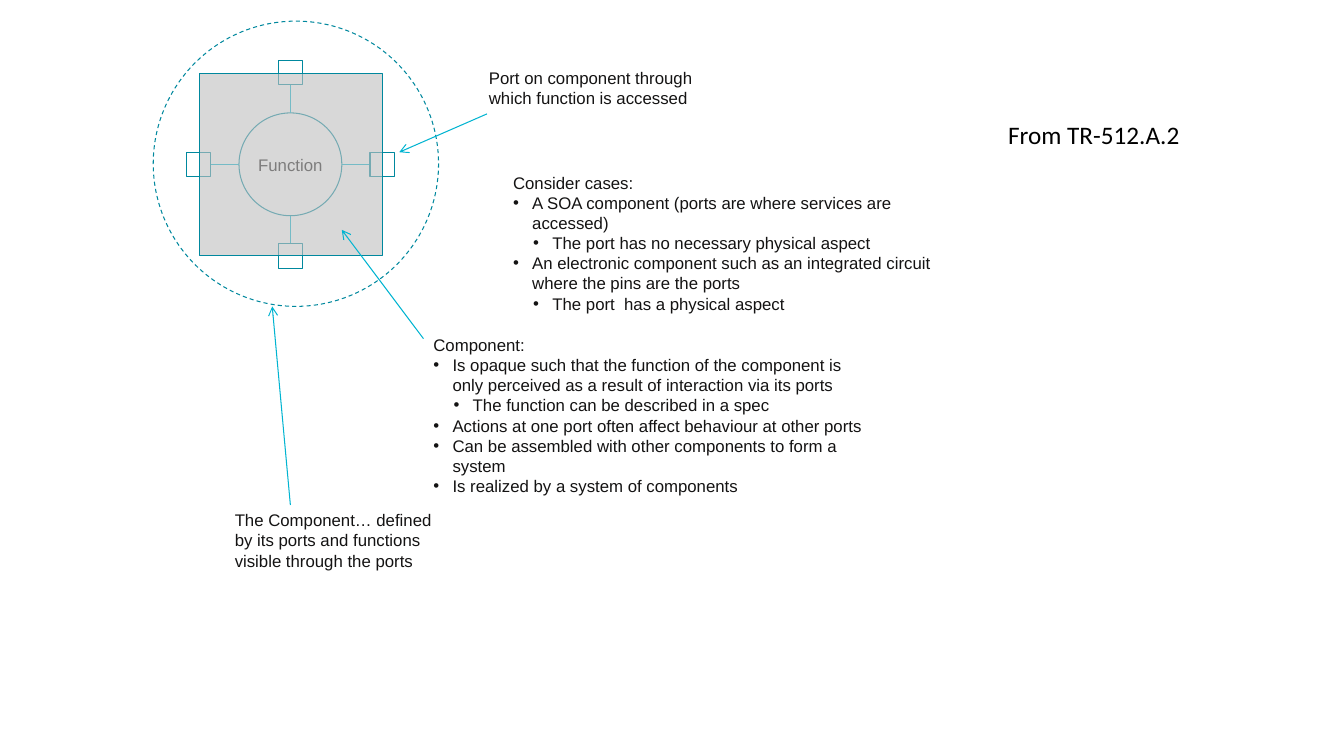
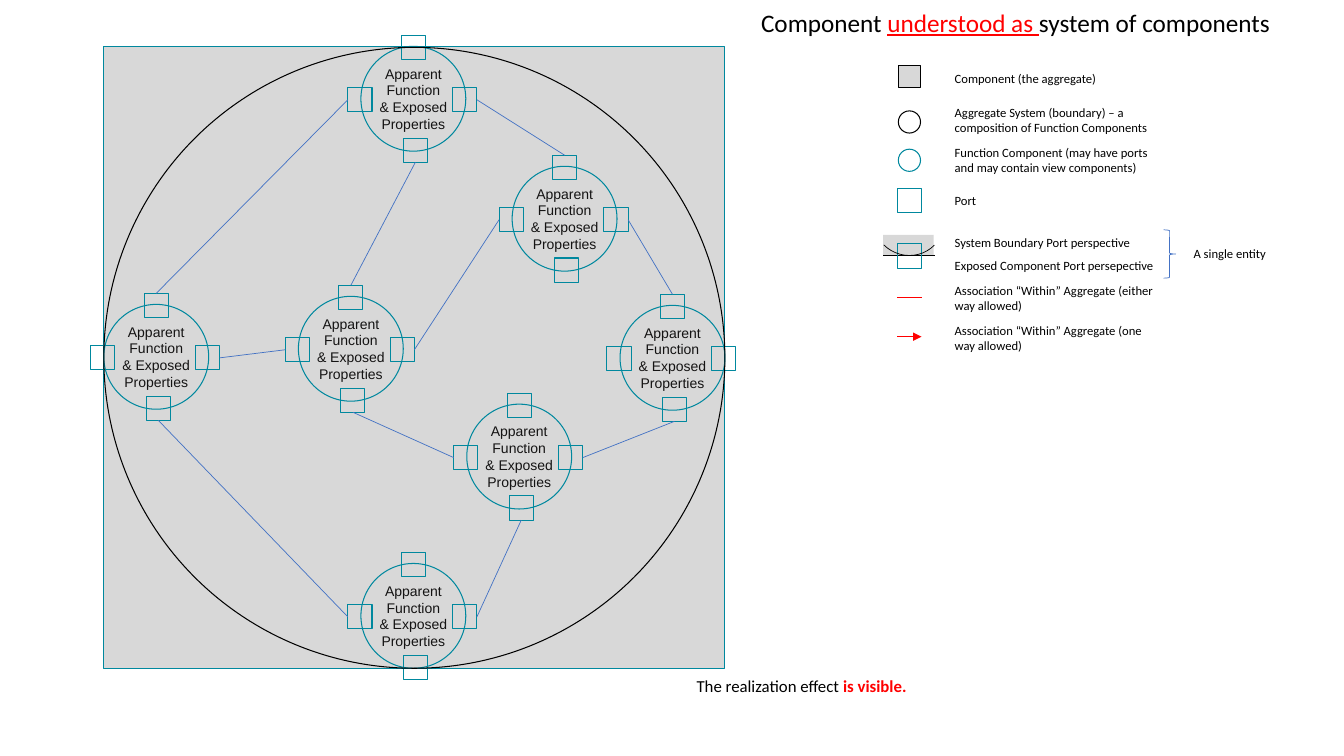
from dataclasses import dataclass
from typing import Any, Optional

from lxml import etree
from pptx import Presentation
from pptx import util as u
from pptx.dml.color import RGBColor
from pptx.enum import dml, shapes, text
from pptx.oxml import ns

COLOURS = {
    "teal": "00889E", "cyan": "00B4D1", "blue": "4472C4", "grey": "C0C0C0",
    "ink": "141313", "black": "000000", "red": "FF0000",
}
PORT = 0.24
OPACITY = 61000
SHAPE = shapes.MSO_SHAPE
TOP, LEFT, BOTTOM, RIGHT = range(4)  # connection sites of a rectangle


@dataclass(frozen=True)
class Span:
    words: str
    colour: Optional[str] = None
    bold: bool = False
    underline: bool = False


@dataclass(frozen=True)
class Para:
    spans: tuple[Span, ...]
    level: int = 0  # 0 plain, 1 and 2 bulleted


@dataclass(frozen=True)
class Style:
    font: str
    size: float
    colour: str
    align: Any = text.PP_ALIGN.LEFT
    anchor: Any = text.MSO_ANCHOR.TOP
    wrap: bool = True


@dataclass(frozen=True)
class Node:
    name: str
    x: float
    y: float


@dataclass(frozen=True)
class Link:
    start: str
    start_site: int
    end: str
    end_site: int


@dataclass(frozen=True)
class Label:
    words: str
    y: float
    height: float


NOTE = Style("Arial", 12, "ink")
CENTRED = Style("Arial", 12, "ink", text.PP_ALIGN.CENTER, text.MSO_ANCHOR.MIDDLE, False)
NODE_TEXT = Style("Arial", 10, "ink", text.PP_ALIGN.CENTER, text.MSO_ANCHOR.MIDDLE, False)
LEGEND = Style("Calibri", 9, "black", anchor=text.MSO_ANCHOR.MIDDLE)
HEADING = Style("Calibri", 18, "black", wrap=False)
REMARK = Style("Calibri", 12, "black")

NODES = (
    Node("north", 3.58, 0.46), Node("west", 1.03, 3.02), Node("south", 3.58, 5.59),
    Node("northeast", 5.08, 1.65), Node("east", 6.15, 3.03),
    Node("centre", 2.96, 2.94), Node("southeast", 4.63, 4.01),
)
LINKS = (
    Link("west", TOP, "north", LEFT), Link("north", BOTTOM, "centre", TOP),
    Link("west", BOTTOM, "south", LEFT), Link("west", RIGHT, "centre", LEFT),
    Link("northeast", RIGHT, "east", TOP), Link("southeast", BOTTOM, "south", RIGHT),
    Link("centre", RIGHT, "northeast", LEFT), Link("north", RIGHT, "northeast", TOP),
    Link("east", BOTTOM, "southeast", RIGHT), Link("southeast", LEFT, "centre", BOTTOM),
)
# Port offsets from a node's corner, in connection site order
PORT_OFFSETS = ((0.4, -0.11), (-0.13, 0.41), (0.42, 0.91), (0.91, 0.41))
LABELS = (
    Label("Component (the aggregate)", 0.65, 0.25),
    Label("Aggregate System (boundary) – a composition of Function Components", 0.99, 0.4),
    Label("Function Component (may have ports and may contain view components)", 1.39, 0.4),
    Label("Port", 1.86, 0.25),
    Label("System Boundary Port perspective", 2.28, 0.25),
    Label("Exposed Component Port persepective", 2.51, 0.25),
    Label("Association “Within” Aggregate (either way allowed)", 2.76, 0.4),
    Label("Association “Within” Aggregate (one way allowed)", 3.15, 0.4),
)
CASES = (
    ("Consider cases:", 0),
    ("A SOA component (ports are where services are accessed)", 1),
    ("The port has no necessary physical aspect", 2),
    ("An electronic component such as an integrated circuit where the pins are the ports", 1),
    ("The port  has a physical aspect", 2),
)
TRAITS = (
    ("Component:", 0),
    ("Is opaque such that the function of the component is only perceived as a result "
     "of interaction via its ports", 1),
    ("The function can be described in a spec", 2),
    ("Actions at one port often affect behaviour at other ports", 1),
    ("Can be assembled with other components to form a system", 1),
    ("Is realized by a system of components", 1),
)


def rgb(name: str) -> RGBColor:
    return RGBColor.from_string(COLOURS[name])


def plain(*lines: str) -> list[Para]:
    return [Para((Span(line),)) for line in lines]


def outline_list(items: tuple[tuple[str, int], ...]) -> list[Para]:
    return [Para((Span(words),), level) for words, level in items]


def add_bullet(para: Any, level: int) -> None:
    props = para._p.get_or_add_pPr()
    props.set("marL", str(u.Inches(0.2 * level - 0.01)))
    props.set("indent", str(u.Inches(-0.19)))
    etree.SubElement(props, ns.qn("a:buFont"), typeface="Arial")
    etree.SubElement(props, ns.qn("a:buChar"), char="•")


def write(frame: Any, paras: list[Para], style: Style) -> None:
    frame.word_wrap = style.wrap
    frame.vertical_anchor = style.anchor
    for index, item in enumerate(paras):
        para = frame.add_paragraph() if index else frame.paragraphs[0]
        para.alignment = style.align
        if item.level:
            para.level = item.level - 1
            add_bullet(para, item.level)
        for span in item.spans:
            run = para.add_run()
            run.text = span.words
            run.font.name = style.font
            run.font.size = u.Pt(style.size)
            run.font.color.rgb = rgb(span.colour or style.colour)
            run.font.bold = span.bold
            run.font.underline = span.underline


def add_text(page: Any, x: float, y: float, width: float, height: float,
             paras: list[Para], style: Style) -> None:
    box = page.shapes.add_textbox(u.Inches(x), u.Inches(y), u.Inches(width), u.Inches(height))
    write(box.text_frame, paras, style)


def add_figure(page: Any, kind: Any, x: float, y: float, width: float, height: float,
               line: Optional[str] = "teal", shaded: bool = False, weight: float = 0.75) -> Any:
    figure = page.shapes.add_shape(
        kind, u.Inches(x), u.Inches(y), u.Inches(width), u.Inches(height))
    figure.shadow.inherit = False
    if shaded:
        figure.fill.solid()
        figure.fill.fore_color.rgb = rgb("grey")
        colour = figure.fill._xPr.find(ns.qn("a:solidFill"))[0]
        etree.SubElement(colour, ns.qn("a:alpha"), val=str(OPACITY))
    else:
        figure.fill.background()
    if line:
        figure.line.color.rgb = rgb(line)
        figure.line.width = u.Pt(weight)
    else:
        figure.line.fill.background()
    return figure


def add_port(page: Any, x: float, y: float) -> Any:
    return add_figure(page, SHAPE.RECTANGLE, x, y, PORT, PORT)


def add_line(page: Any, start: tuple[float, float], end: tuple[float, float],
             colour: str, weight: float, head: Optional[str] = None) -> Any:
    line = page.shapes.add_connector(
        shapes.MSO_CONNECTOR.STRAIGHT, *(u.Inches(value) for value in start + end))
    line.line.color.rgb = rgb(colour)
    line.line.width = u.Pt(weight)
    if head:
        etree.SubElement(line.line._get_or_add_ln(), ns.qn("a:tailEnd"), type=head)
    etree.SubElement(line._element.spPr, ns.qn("a:effectLst"))
    return line


def add_node(page: Any, node: Node) -> list[Any]:
    circle = add_figure(page, SHAPE.OVAL, node.x, node.y, 1.04, 1.04)
    write(circle.text_frame, plain("Apparent", "Function", "& Exposed", "Properties"), NODE_TEXT)
    return [add_port(page, node.x + dx, node.y + dy) for dx, dy in PORT_OFFSETS]


def build_component(page: Any) -> None:
    # Function with its four ports, under the translucent component
    mid_x, mid_y, radius, half = 2.88, 1.63, 0.51, 0.91
    circle = add_figure(page, SHAPE.OVAL, mid_x - radius, mid_y - radius, 2 * radius, 2 * radius)
    write(circle.text_frame, plain("Function"), CENTRED)
    for dx, dy in ((0, -1), (1, 0), (0, 1), (-1, 0)):
        reach = half - PORT / 2
        add_line(page, (mid_x + dx * radius, mid_y + dy * radius),
                 (mid_x + dx * reach, mid_y + dy * reach), "cyan", 0.75)
        add_port(page, mid_x + dx * half - PORT / 2, mid_y + dy * half - PORT / 2)
    add_figure(page, SHAPE.RECTANGLE, 1.98, 0.73, 1.81, 1.81, shaded=True)
    boundary = add_figure(page, SHAPE.OVAL, 1.52, 0.21, 2.83, 2.83)
    boundary.line.dash_style = dml.MSO_LINE.DASH

    # Notes and their pointers
    add_text(page, 4.75, 0.62, 2.28, 0.5,
             plain("Port on component through which function is accessed"), NOTE)
    add_text(page, 4.99, 1.66, 4.49, 1.51, outline_list(CASES), NOTE)
    add_text(page, 4.2, 3.27, 4.49, 1.51, outline_list(TRAITS), NOTE)
    add_text(page, 2.23, 5.01, 2.28, 0.71, plain(
        "The Component… defined by its ports and functions visible through the ports"), NOTE)
    for start, end in (((4.83, 1.13), (3.96, 1.51)), ((4.2, 3.36), (3.39, 2.28)),
                       ((2.88, 5.01), (2.7, 3.04))):
        add_line(page, start, end, "cyan", 0.75, "arrow")
    add_text(page, 9.9, 1.13, 1.91, 0.4, plain("From TR-512.A.2"), HEADING)


def build_legend(page: Any) -> None:
    # Symbols
    add_figure(page, SHAPE.RECTANGLE, 8.91, 0.65, 0.22, 0.22, "black", shaded=True)
    add_figure(page, SHAPE.OVAL, 8.91, 1.1, 0.22, 0.22, "black")
    add_figure(page, SHAPE.OVAL, 8.91, 1.48, 0.22, 0.22)
    add_port(page, 8.9, 1.87)
    add_figure(page, SHAPE.RECTANGLE, 8.76, 2.33, 0.5, 0.2, None, shaded=True)
    add_line(page, (8.76, 2.53), (9.27, 2.53), "black", 0.5)
    add_port(page, 8.9, 2.42)
    arc = add_figure(page, SHAPE.ARC, 8.66, 1.82, 0.7, 0.72, "black", weight=0.5)
    arc.rotation = 134.5
    add_line(page, (8.9, 2.95), (9.14, 2.95), "red", 0.5)
    add_line(page, (8.9, 3.34), (9.14, 3.34), "red", 0.5, "triangle")

    # Wording
    for label in LABELS:
        add_text(page, 9.37, label.y, 2.28, label.height, plain(label.words), LEGEND)
    add_figure(page, SHAPE.RIGHT_BRACE, 11.54, 2.28, 0.12, 0.48, "blue", weight=0.5)
    add_text(page, 11.74, 2.39, 1.47, 0.25, plain("A single entity"), LEGEND)


def build_system(page: Any) -> None:
    # Aggregate, its nodes and the links between their ports
    add_figure(page, SHAPE.RECTANGLE, 1.03, 0.46, 6.16, 6.17, shaded=True)
    ports = {node.name: add_node(page, node) for node in NODES}
    for link in LINKS:
        line = add_line(page, (0, 0), (0, 0), "blue", 0.5)
        line.begin_connect(ports[link.start][link.start_site], link.start_site)
        line.end_connect(ports[link.end][link.end_site], link.end_site)
    add_figure(page, SHAPE.OVAL, 1.03, 0.47, 6.16, 6.16, "black")

    build_legend(page)

    # Heading and closing remark
    add_text(page, 7.45, 0.02, 5.31, 0.4, [Para((
        Span("Component "), Span("understood as ", "red", underline=True),
        Span("system of components")))], HEADING)
    add_text(page, 6.81, 6.65, 3.05, 0.3, [Para((
        Span("The realization effect "), Span("is visible.", "red", bold=True)))], REMARK)


def main() -> None:
    deck = Presentation()
    deck.slide_width, deck.slide_height = u.Inches(13.33), u.Inches(7.5)
    for build in (build_component, build_system):
        build(deck.slides.add_slide(deck.slide_layouts[6]))
    deck.save("out.pptx")


if __name__ == "__main__":
    main()
